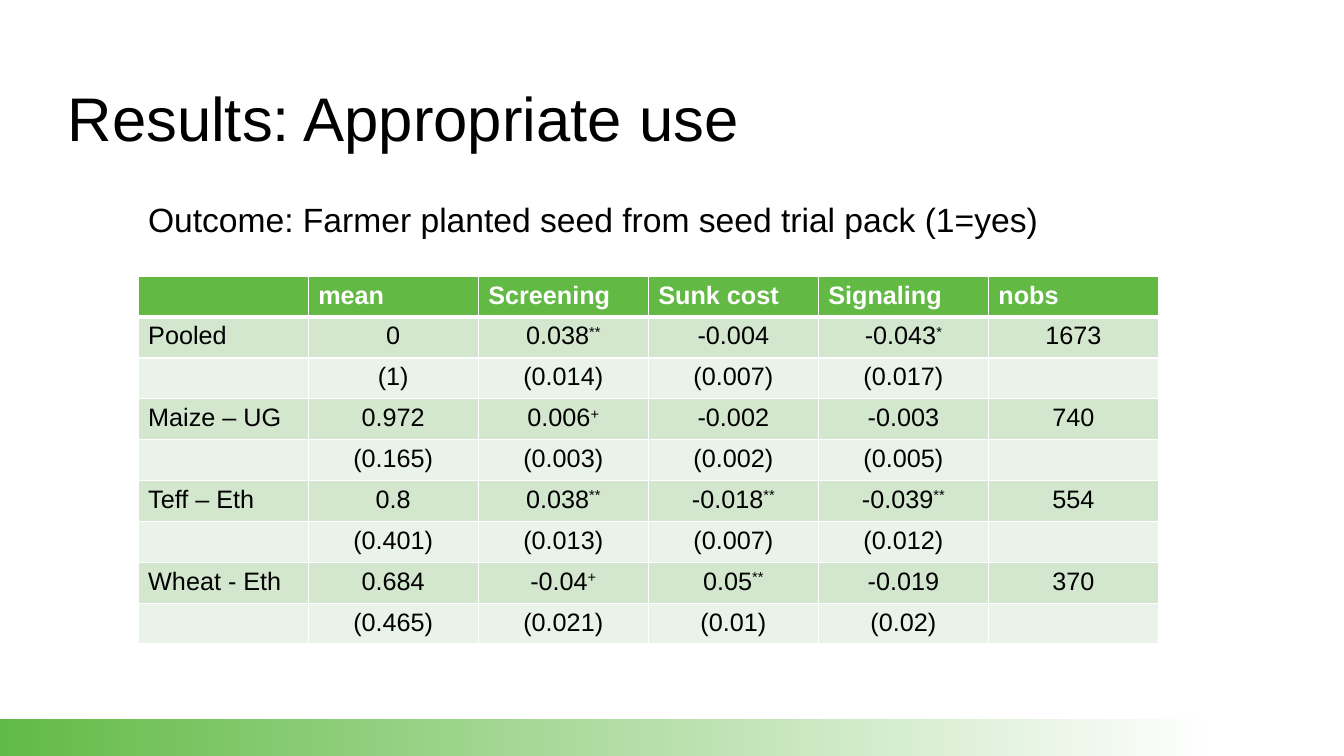
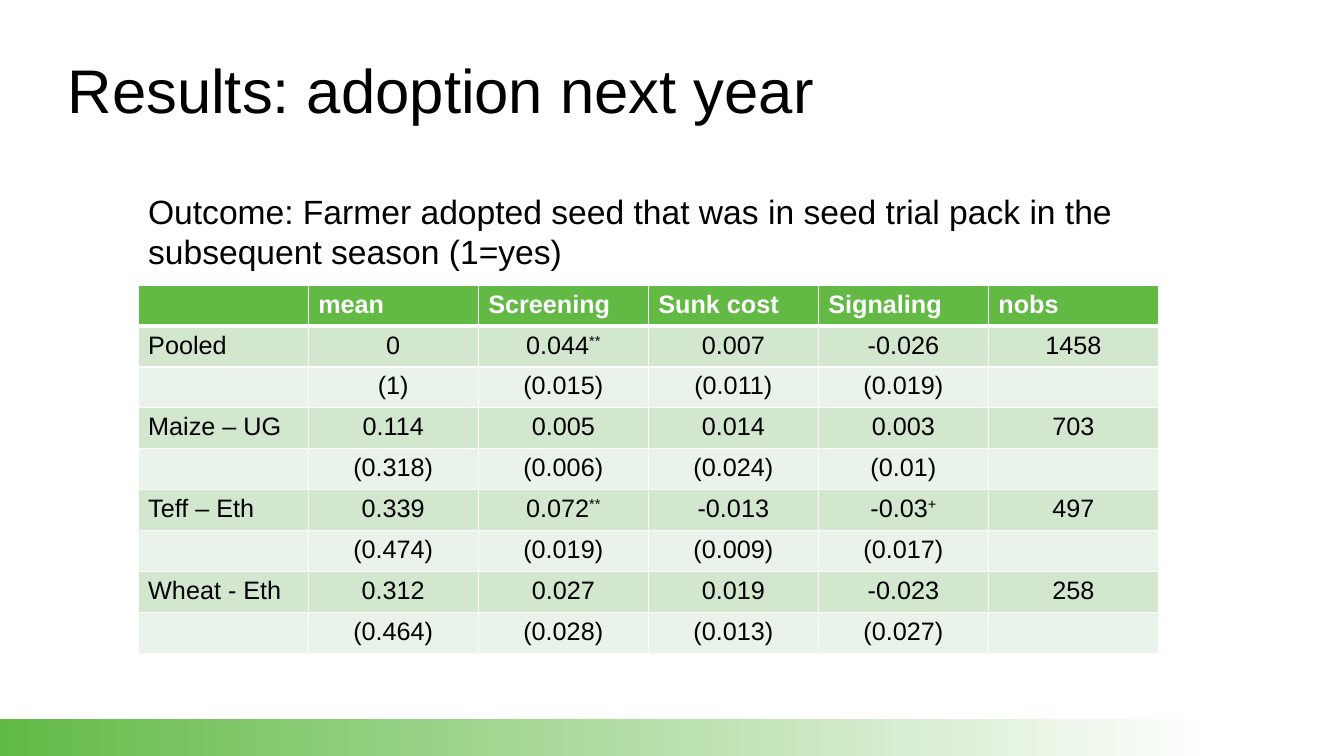
from pptx import Presentation
from pptx.dml.color import RGBColor
from pptx.enum.shapes import MSO_SHAPE as Shape
from pptx.enum.text import MSO_ANCHOR as Anchor, PP_ALIGN as Align
from pptx.oxml import parse_xml
from pptx.oxml.ns import nsdecls
from pptx.util import Pt

PX = 9144
BLACK = RGBColor(0x00, 0x00, 0x00)
WHITE = RGBColor(0xFF, 0xFF, 0xFF)
BAND_GREEN = RGBColor(0x62, 0xBB, 0x46)
HEADER_GREEN = RGBColor(0x62, 0xBA, 0x45)
ROW_FILLS = (RGBColor(0xEA, 0xF3, 0xE9), RGBColor(0xD3, 0xE7, 0xCF))

TITLE_FONT = {"name": "Arial", "size": Pt(44)}
OUTCOME_FONT = {"name": "Arial", "size": Pt(24)}
CELL_FONT = {"name": "Arial", "size": Pt(18)}
HEADER_FONT = {**CELL_FONT, "bold": True}
TITLE_FRAME = {
    "vertical_anchor": Anchor.MIDDLE,
    "margin_left": 0, "margin_top": 0, "margin_right": 0, "margin_bottom": 0,
}

HEADER = ("", "mean", "Screening", "Sunk cost", "Signaling", "nobs")
USE_ROWS = (
    ("Pooled", "0", "0.038**", "-0.004", "-0.043*", "1673"),
    ("", "(1)", "(0.014)", "(0.007)", "(0.017)", ""),
    ("Maize – UG", "0.972", "0.006+", "-0.002", "-0.003", "740"),
    ("", "(0.165)", "(0.003)", "(0.002)", "(0.005)", ""),
    ("Teff – Eth", "0.8", "0.038**", "-0.018**", "-0.039**", "554"),
    ("", "(0.401)", "(0.013)", "(0.007)", "(0.012)", ""),
    ("Wheat - Eth", "0.684", "-0.04+", "0.05**", "-0.019", "370"),
    ("", "(0.465)", "(0.021)", "(0.01)", "(0.02)", ""),
)
ADOPTION_ROWS = (
    ("Pooled", "0", "0.044**", "0.007", "-0.026", "1458"),
    ("", "(1)", "(0.015)", "(0.011)", "(0.019)", ""),
    ("Maize – UG", "0.114", "0.005", "0.014", "0.003", "703"),
    ("", "(0.318)", "(0.006)", "(0.024)", "(0.01)", ""),
    ("Teff – Eth", "0.339", "0.072**", "-0.013", "-0.03+", "497"),
    ("", "(0.474)", "(0.019)", "(0.009)", "(0.017)", ""),
    ("Wheat - Eth", "0.312", "0.027", "0.019", "-0.023", "258"),
    ("", "(0.464)", "(0.028)", "(0.013)", "(0.027)", ""),
)


def px(*lengths):
    return [length * PX for length in lengths]


def apply_format(target, values):
    for name, value in values.items():
        setattr(target, name, value)


def add_span(para, text, font, color=BLACK):
    span = para.add_run()
    span.text = text
    apply_format(span.font, font)
    span.font.color.rgb = color
    return span


def add_text(page, bounds, text, font, frame_format=None, line_spacing=1.0):
    frame = page.shapes.add_textbox(*px(*bounds)).text_frame
    apply_format(frame, {"word_wrap": True, **(frame_format or {})})
    para = frame.paragraphs[0]
    para.line_spacing = line_spacing
    add_span(para, text, font)


def add_band(page):
    band = page.shapes.add_shape(Shape.RECTANGLE, *px(0, 714, 1200, 36))
    band.shadow.inherit = False
    band.line.fill.background()
    band.fill.gradient()
    band.fill.gradient_angle = 0
    for stop in band.fill.gradient_stops:
        stop.color.rgb = BAND_GREEN
    last_color = band.element.spPr.findall(".//{*}srgbClr")[-1]
    last_color.append(parse_xml(f'<a:alpha {nsdecls("a")} val="0"/>'))


def add_borders(cell, row):
    widths = {"L": 1, "R": 1, "T": 3 if row == 1 else 1, "B": 3 if row == 0 else 1}
    properties = cell._tc.get_or_add_tcPr()
    for side, width in widths.items():
        properties.append(parse_xml(
            f'<a:ln{side} {nsdecls("a")} w="{Pt(width)}"><a:solidFill>'
            f'<a:srgbClr val="{WHITE}"/></a:solidFill></a:ln{side}>'))


def fill_cell(cell, text, row, column):
    add_borders(cell, row)
    cell.fill.solid()
    cell.fill.fore_color.rgb = ROW_FILLS[row % 2] if row else HEADER_GREEN
    para = cell.text_frame.paragraphs[0]
    para.font.size = CELL_FONT["size"]
    if not text:
        return
    if row == 0:
        add_span(para, text, HEADER_FONT, WHITE)
        return
    para.alignment = Align.CENTER if column else Align.LEFT
    value = text.rstrip("*+")
    add_span(para, value, CELL_FONT)
    marks = text[len(value):]
    if marks:
        span = add_span(para, marks, CELL_FONT)
        span._r.get_or_add_rPr().set("baseline", "30000")


def add_results_table(page, top, body):
    rows = (HEADER, *body)
    table = page.shapes.add_table(
        len(rows), len(HEADER), *px(137, top, 1012, 365)).table
    table.horz_banding = False
    for row, texts in enumerate(rows):
        for column, text in enumerate(texts):
            fill_cell(table.cell(row, column), text, row, column)


def add_results_page(deck, title, title_top, outcome, outcome_bounds, table_top, body):
    page = deck.slides.add_slide(deck.slide_layouts[6])
    add_band(page)
    add_text(page, (67, title_top, 1200, 125), title, TITLE_FONT, TITLE_FRAME, 0.9)
    add_results_table(page, table_top, body)
    add_text(page, outcome_bounds, outcome, OUTCOME_FONT)


def main():
    deck = Presentation()
    deck.slide_width, deck.slide_height = px(1333, 750)
    add_results_page(
        deck, "Results: Appropriate use", 58,
        "Outcome: Farmer planted seed from seed trial pack (1=yes)",
        (137, 192, 914, 50), 274, USE_ROWS)
    add_results_page(
        deck, "Results: adoption next year", 30,
        "Outcome: Farmer adopted seed that was in seed trial pack "
        "in the subsequent season (1=yes)",
        (137, 184, 1039, 91), 283, ADOPTION_ROWS)
    deck.save("out.pptx")


if __name__ == "__main__":
    main()
